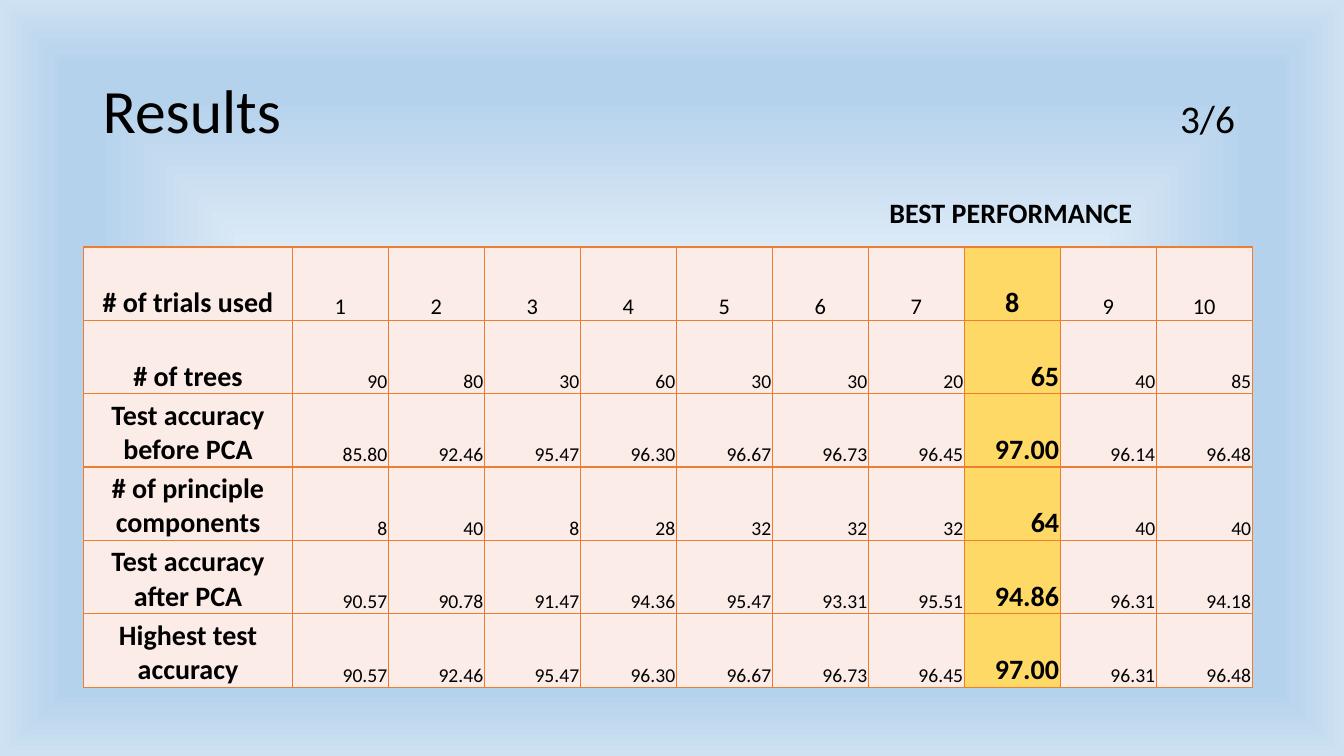
from lxml.etree import SubElement
from pptx import Presentation
from pptx.dml.color import RGBColor
from pptx.enum.text import MSO_ANCHOR, PP_ALIGN
from pptx.oxml import parse_xml
from pptx.oxml.ns import nsdecls, qn
from pptx.util import Inches, Pt

TITLE, PAGE, BEST_LABEL = "Results", "3/6", "BEST PERFORMANCE"
RESULTS = [
    ("# of trials used", "1 2 3 4 5 6 7 8 9 10"),
    ("# of trees", "90 80 30 60 30 30 20 65 40 85"),
    ("Test accuracy before PCA", "85.80 92.46 95.47 96.30 96.67 96.73 96.45 97.00 96.14 96.48"),
    ("# of principle components", "8 40 8 28 32 32 32 64 40 40"),
    ("Test accuracy after PCA", "90.57 90.78 91.47 94.36 95.47 93.31 95.51 94.86 96.31 94.18"),
    ("Highest test accuracy", "90.57 92.46 95.47 96.30 96.67 96.73 96.45 97.00 96.31 96.48"),
]
BEST_TRIAL = 8
COLORS = {"text": "000000", "cell": "FCECE8", "best": "FFD966", "border": "ED7D31"}
BACKGROUND_STOPS = [(0, "FFFFFF", 60), (74, "B5D2EC", 100), (83, "B5D2EC", 100), (100, "CEE1F2", 100)]
FONT = "Calibri"
WIDTH, HEIGHT = 13.33, 7.5
LABEL_WIDTH, TRIAL_WIDTH, ROW_HEIGHT = 2.07, 0.952, 0.728
PAGE_TAB = 11.23


def add_run(paragraph, text, size, bold=False):
    run = paragraph.add_run()
    run.text = text
    run.font.name = FONT
    run.font.size = Pt(size)
    run.font.bold = bold
    run.font.color.rgb = RGBColor.from_string(COLORS["text"])


def add_text_frame(slide, left, top, width, height, anchor):
    box = slide.shapes.add_textbox(Inches(left), Inches(top), Inches(width), Inches(height))
    box.text_frame.word_wrap = True
    box.text_frame.vertical_anchor = anchor
    return box.text_frame


def set_background(slide):
    stops = "".join(
        f'<a:gs pos="{pos * 1000}"><a:srgbClr val="{color}">'
        f'<a:alpha val="{alpha * 1000}"/></a:srgbClr></a:gs>'
        for pos, color, alpha in BACKGROUND_STOPS
    )
    background = parse_xml(
        f'<p:bg {nsdecls("p", "a")}><p:bgPr><a:gradFill><a:gsLst>{stops}</a:gsLst>'
        '<a:path path="shape"><a:fillToRect l="50000" t="50000" r="50000" b="50000"/></a:path>'
        "</a:gradFill><a:effectLst/></p:bgPr></p:bg>"
    )
    slide.shapes.element.addprevious(background)


def add_title(slide):
    frame = add_text_frame(slide, 0.92, 0.4, 11.5, 1.45, MSO_ANCHOR.MIDDLE)
    line = frame.paragraphs[0]
    line.line_spacing = 0.9
    add_run(line, TITLE, 44)
    add_run(line, "\t" + PAGE, 28)
    tabs = SubElement(line._p.get_or_add_pPr(), qn("a:tabLst"))
    SubElement(tabs, qn("a:tab"), pos=str(Inches(PAGE_TAB)), algn="r")


def style_cell(cell, color):
    cell.margin_left = cell.margin_right = cell.margin_top = Inches(0.01)
    cell.margin_bottom = 0
    cell.vertical_anchor = MSO_ANCHOR.BOTTOM
    properties = cell._tc.get_or_add_tcPr()
    for side in ("lnL", "lnR", "lnT", "lnB"):
        border = SubElement(properties, qn("a:" + side), w=str(Pt(1)))
        SubElement(SubElement(border, qn("a:solidFill")), qn("a:srgbClr"), val=COLORS["border"])
    cell.fill.solid()
    cell.fill.fore_color.rgb = RGBColor.from_string(color)


def add_results(slide):
    rows = [[label, *values.split()] for label, values in RESULTS]
    trials = len(rows[0]) - 1
    table = slide.shapes.add_table(
        len(rows), trials + 1, Inches(0.83), Inches(2.45),
        Inches(LABEL_WIDTH + trials * TRIAL_WIDTH), Inches(len(rows) * ROW_HEIGHT),
    ).table
    table.first_row = table.horz_banding = False
    for index, column in enumerate(table.columns):
        column.width = Inches(TRIAL_WIDTH if index else LABEL_WIDTH)
    for row_index, values in enumerate(rows):
        table.rows[row_index].height = Inches(ROW_HEIGHT)
        for trial, value in enumerate(values):
            cell = table.cell(row_index, trial)
            style_cell(cell, COLORS["best" if trial == BEST_TRIAL else "cell"])
            strong = trial in (0, BEST_TRIAL)
            header = row_index == 0
            line = cell.text_frame.paragraphs[0]
            line.alignment = PP_ALIGN.CENTER if header or trial == 0 else PP_ALIGN.RIGHT
            add_run(line, value, 20 if strong else 16 if header else 14, strong)


def add_best_label(slide):
    frame = add_text_frame(slide, 8.57, 1.89, 2.91, 0.44, MSO_ANCHOR.TOP)
    frame.paragraphs[0].alignment = PP_ALIGN.CENTER
    add_run(frame.paragraphs[0], BEST_LABEL, 20, True)


def main():
    deck = Presentation()
    deck.slide_width, deck.slide_height = Inches(WIDTH), Inches(HEIGHT)
    slide = deck.slides.add_slide(deck.slide_layouts[6])
    set_background(slide)
    add_title(slide)
    add_results(slide)
    add_best_label(slide)
    deck.save("out.pptx")


if __name__ == "__main__":
    main()
